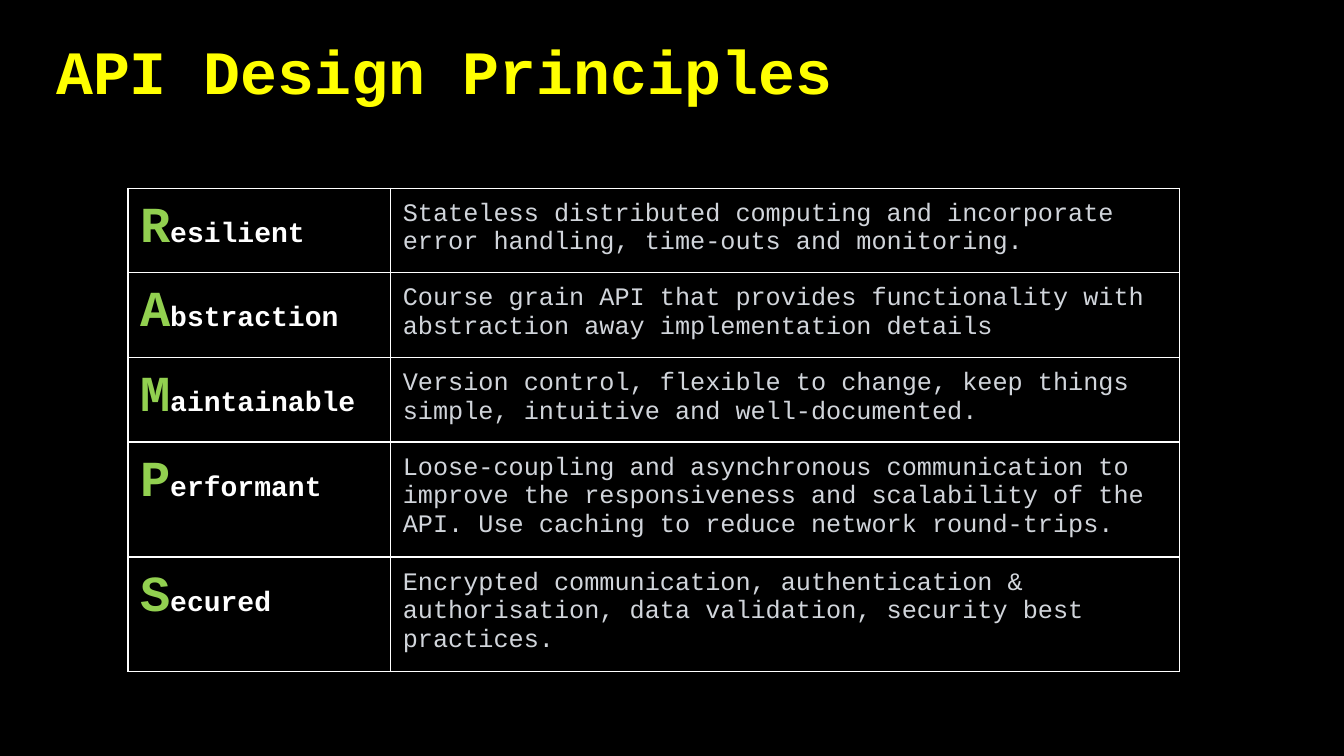
from dataclasses import dataclass

from lxml.etree import SubElement
from pptx import Presentation
from pptx.dml.color import RGBColor
from pptx.enum.text import MSO_ANCHOR
from pptx.oxml.ns import qn
from pptx.util import Pt


@dataclass(frozen=True)
class Theme:
    font: str = "Courier New"
    background: str = "000000"
    title: str = "FFFF00"
    initial: str = "92D050"
    name: str = "FFFFFF"
    body: str = "D1D5DB"
    border: str = "FFFFFF"
    title_size: int = 44
    initial_size: int = 36
    name_size: int = 20
    body_size: int = 18


THEME = Theme()
CELL_INSET = 8.64
NAME_SHARE = 0.25
PRINCIPLES = [
    ("Resilient", 58, "Stateless distributed computing and incorporate error handling, "
     "time-outs and monitoring."),
    ("Abstraction", 58, "Course grain API that provides functionality with abstraction "
     "away implementation details"),
    ("Maintainable", 58, "Version control, flexible to change, keep things simple, "
     "intuitive and well-documented."),
    ("Performant", 78.5, "Loose-coupling and asynchronous communication to improve the "
     "responsiveness and scalability of the API. Use caching to reduce network round-trips."),
    ("Secured", 78.5, "Encrypted communication, authentication & authorisation, data "
     "validation, security best practices."),
]


def add_text(p, text, *, size, color, bold=False):
    r = p.add_run()
    r.text = text
    r.font.name = THEME.font
    r.font.size = Pt(size)
    r.font.bold = bold
    r.font.color.rgb = RGBColor.from_string(color)


def style_cell(cell):
    cell.margin_left = cell.margin_right = Pt(CELL_INSET)
    cell.margin_top = cell.margin_bottom = Pt(CELL_INSET)
    tcPr = cell._tc.get_or_add_tcPr()
    for side in ("a:lnL", "a:lnR", "a:lnT", "a:lnB"):
        ln = SubElement(tcPr, qn(side), w=str(Pt(1)))
        fill = SubElement(ln, qn("a:solidFill"))
        SubElement(fill, qn("a:srgbClr"), val=THEME.border)
    cell.fill.background()


def add_title(s, x, y, w, h):
    tf = s.shapes.add_textbox(Pt(x), Pt(y), Pt(w), Pt(h)).text_frame
    tf.word_wrap = True
    tf.vertical_anchor = MSO_ANCHOR.MIDDLE
    p = tf.paragraphs[0]
    p.line_spacing = 0.9
    add_text(p, "API Design Principles", size=THEME.title_size, color=THEME.title, bold=True)


def add_principles(s, x, y, w):
    h = sum(height for _, height, _ in PRINCIPLES)
    frame = s.shapes.add_table(len(PRINCIPLES), 2, Pt(x), Pt(y), Pt(w), Pt(h))
    table = frame.table
    table.first_row = table.horz_banding = False
    table.columns[0].width = Pt(w * NAME_SHARE)
    table.columns[1].width = Pt(w * (1 - NAME_SHARE))
    for i, (name, height, description) in enumerate(PRINCIPLES):
        table.rows[i].height = Pt(height)
        name_cell, description_cell = table.cell(i, 0), table.cell(i, 1)
        style_cell(name_cell)
        style_cell(description_cell)
        p = name_cell.text_frame.paragraphs[0]
        add_text(p, name[0], size=THEME.initial_size, color=THEME.initial, bold=True)
        add_text(p, name[1:], size=THEME.name_size, color=THEME.name, bold=True)
        p = description_cell.text_frame.paragraphs[0]
        add_text(p, description, size=THEME.body_size, color=THEME.body)


def main():
    prs = Presentation()
    prs.slide_width, prs.slide_height = Pt(960), Pt(540)
    s = prs.slides.add_slide(prs.slide_layouts[6])
    s.background.fill.solid()
    s.background.fill.fore_color.rgb = RGBColor.from_string(THEME.background)
    add_title(s, 33, 0.75, 809, 104.4)
    add_principles(s, 91.4, 134.4, 751)
    prs.save("out.pptx")


if __name__ == "__main__":
    main()
